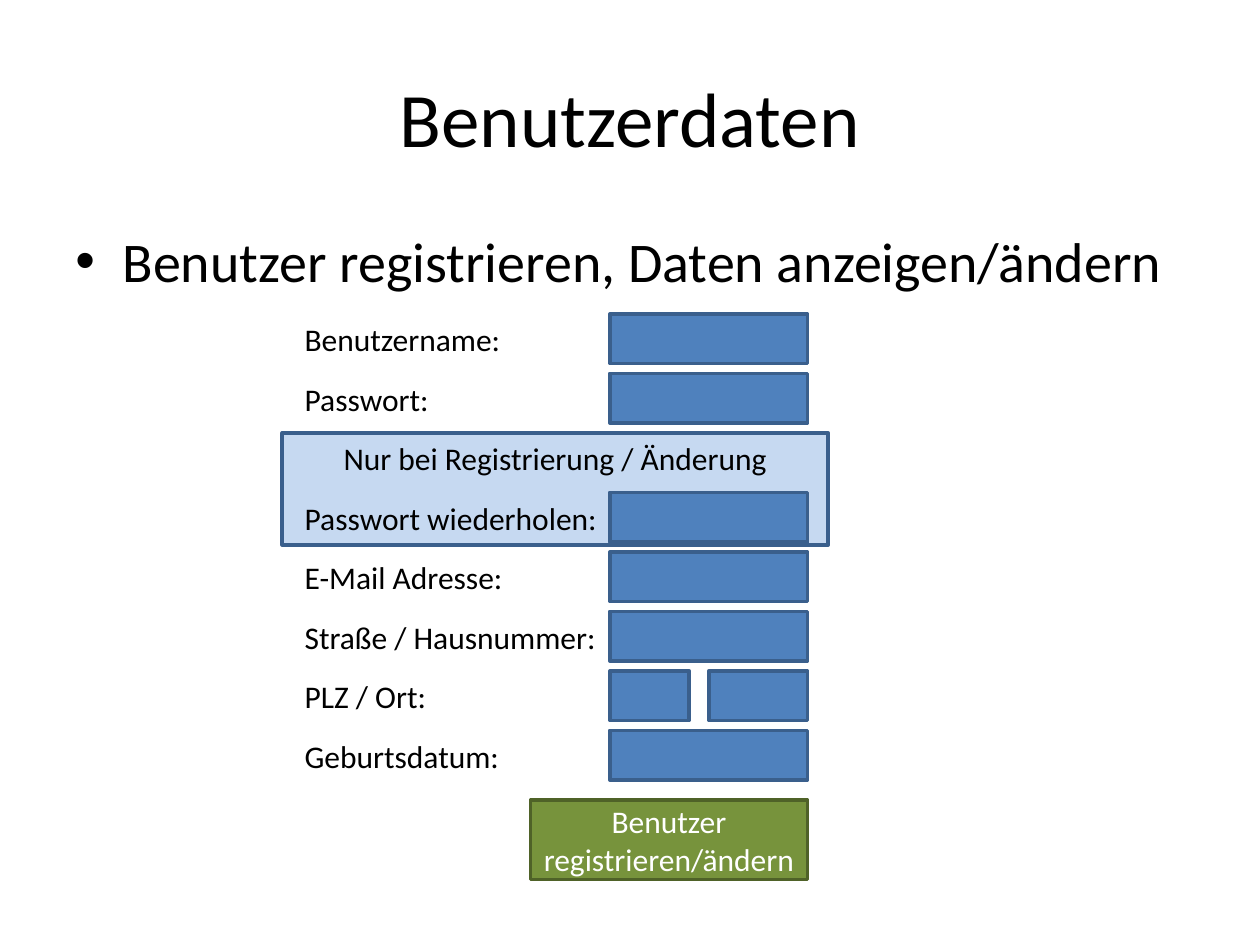
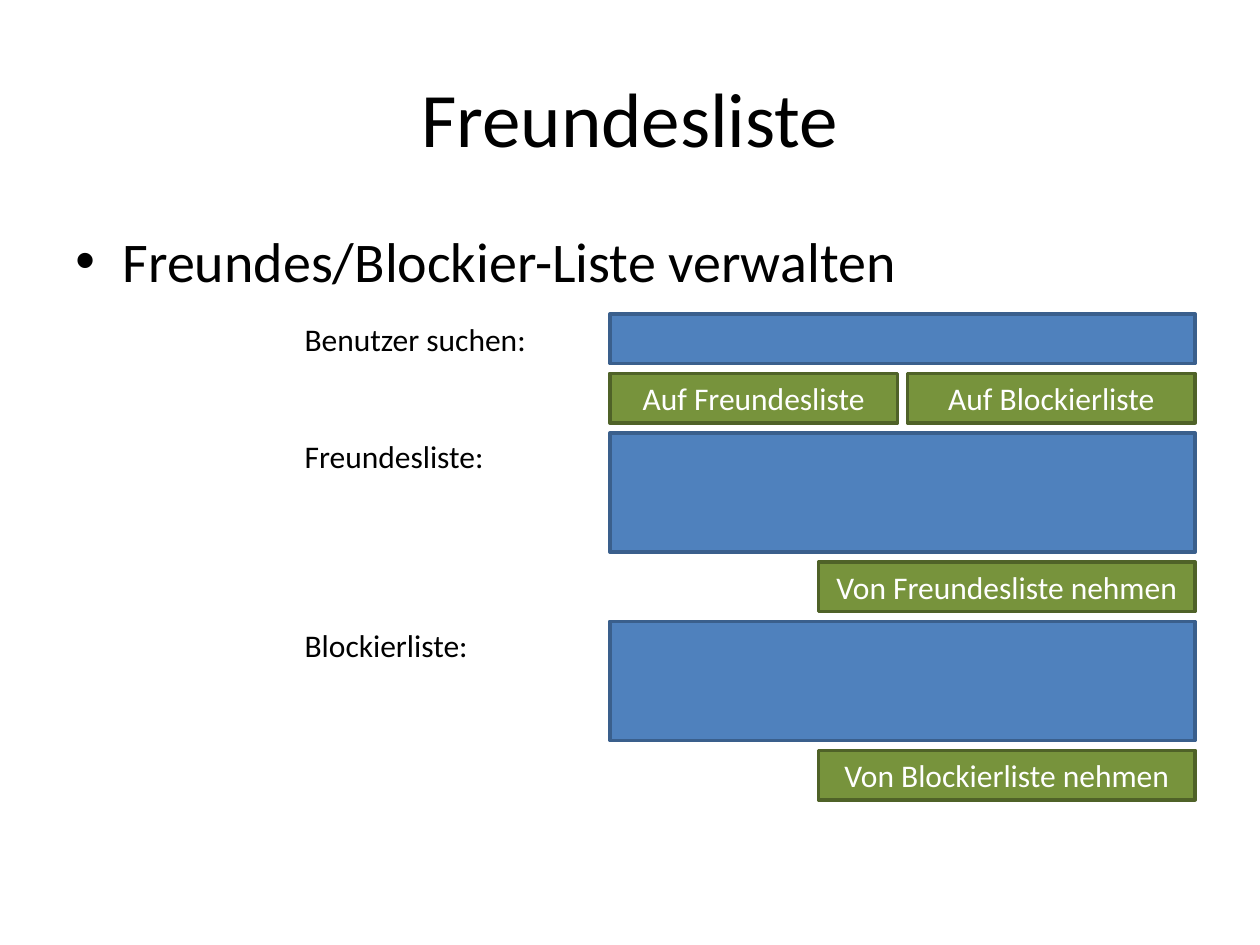
from pptx import Presentation
from pptx.dml.color import RGBColor
from pptx.enum import shapes, text
from pptx.oxml import parse_xml
from pptx.oxml.ns import nsdecls
from pptx.util import Pt

BLACK = RGBColor(0, 0, 0)
WHITE = RGBColor(255, 255, 255)
BLUE = RGBColor(0x4F, 0x81, 0xBD)
NAVY = RGBColor(0x3A, 0x5F, 0x8C)
PALE = RGBColor(0xC6, 0xD9, 0xF1)
GREEN = RGBColor(0x77, 0x93, 0x3C)
MOSS = RGBColor(0x4F, 0x62, 0x28)

TOP, HIGH, GAP = 179.4, 28.3, 5.7
LEFT, FIELD = 167, 348.5
NARROW, WIDE = 113, 334.5
LIST = 2 * HIGH + 2 * GAP

MID = text.MSO_ANCHOR.MIDDLE
UPPER = text.MSO_ANCHOR.TOP
CENTER = text.PP_ALIGN.CENTER


def row(n):
    return TOP + n * (HIGH + GAP)


def style(item, look):
    for key, value in look.items():
        setattr(item, key, value)


def write(shape, words, size, color=BLACK, align=None, **look):
    style(shape.text_frame, {"word_wrap": True, **look})
    para = shape.text_frame.paragraphs[0]
    para.alignment = align
    run = para.add_run()
    run.text = words
    style(run.font, {"name": "Calibri", "size": Pt(size)})
    run.font.color.rgb = color
    return para


def text_box(slide, x, y, w, h, words, size, **look):
    box = slide.shapes.add_textbox(Pt(x), Pt(y), Pt(w), Pt(h))
    return write(box, words, size, **look)


def panel(slide, x, y, w, h=HIGH, fill=BLUE, edge=NAVY):
    box = slide.shapes.add_shape(shapes.MSO_SHAPE.RECTANGLE, Pt(x), Pt(y), Pt(w), Pt(h))
    box.shadow.inherit = False
    box.fill.solid()
    box.fill.fore_color.rgb = fill
    box.line.color.rgb = edge
    box.line.width = Pt(2)
    return box


def button(slide, x, y, w, words, h=HIGH):
    box = panel(slide, x, y, w, h, GREEN, MOSS)
    write(box, words, 18, WHITE, CENTER, vertical_anchor=MID)


def label(slide, y, w, words):
    text_box(slide, LEFT, y, w, 29, words, 18, word_wrap=False,
             auto_size=text.MSO_AUTO_SIZE.SHAPE_TO_FIT_TEXT)


def start(deck, title, topic):
    slide = deck.slides.add_slide(deck.slide_layouts[6])
    para = text_box(slide, 36, 126, 648, 356.4, topic, 32)
    para.space_before = Pt(6.4)
    props = para._p.get_or_add_pPr()
    props.set("marL", str(Pt(27)))
    props.set("indent", str(Pt(-27)))
    props.append(parse_xml('<a:buFont %s typeface="Arial"/>' % nsdecls("a")))
    props.append(parse_xml('<a:buChar %s char="•"/>' % nsdecls("a")))
    text_box(slide, 36, 21.6, 648, 90, title, 44, align=CENTER, vertical_anchor=MID)
    return slide


def user_data(deck):
    slide = start(deck, "Benutzerdaten", "Benutzer registrieren, Daten anzeigen/ändern")
    note = panel(slide, 161.3, row(2), 312, 64, PALE)
    write(note, "Nur bei Registrierung / Änderung", 18, align=CENTER, vertical_anchor=UPPER)
    whole = [(0, NARROW)]
    rows = [
        (0, "Benutzername:", 127.4, whole),
        (1, "Passwort:", 85.7, whole),
        (3, "Passwort wiederholen:", 183.6, whole),
        (4, "E-Mail Adresse:", 128.9, whole),
        (5, "Straße / Hausnummer:", 182.9, whole),
        (6, "PLZ / Ort:", 85, [(0, 45.4), (56.5, 56.5)]),
        (7, "Geburtsdatum:", 126.7, whole),
    ]
    for n, words, width, fields in rows:
        for shift, span in fields:
            panel(slide, FIELD + shift, row(n), span)
        label(slide, row(n), width, words)
    button(slide, FIELD + NARROW - 158.4, 457.2, 158.4, "Benutzer registrieren/ändern", 45.4)


def friends(deck):
    slide = start(deck, "Freundesliste", "Freundes/Blockier-Liste verwalten")
    panel(slide, FIELD, TOP, WIDE)
    label(slide, TOP, 142.6, "Benutzer suchen:")
    half = (WIDE - GAP) / 2
    for n, name in enumerate(["Freundesliste", "Blockierliste"]):
        button(slide, FIELD + n * (half + GAP), row(1), half, "Auf " + name)
    y = row(2)
    for name, width in [("Freundesliste", 118), ("Blockierliste", 108.7)]:
        panel(slide, FIELD, y, WIDE, LIST)
        label(slide, y - 1, width, name + ":")
        y += LIST + GAP
        button(slide, FIELD + WIDE - 215.3, y, 215.3, "Von " + name + " nehmen")
        y += HIGH + GAP


def main():
    deck = Presentation()
    style(deck, {"slide_width": Pt(720), "slide_height": Pt(540)})
    user_data(deck)
    friends(deck)
    deck.save("out.pptx")


main()
